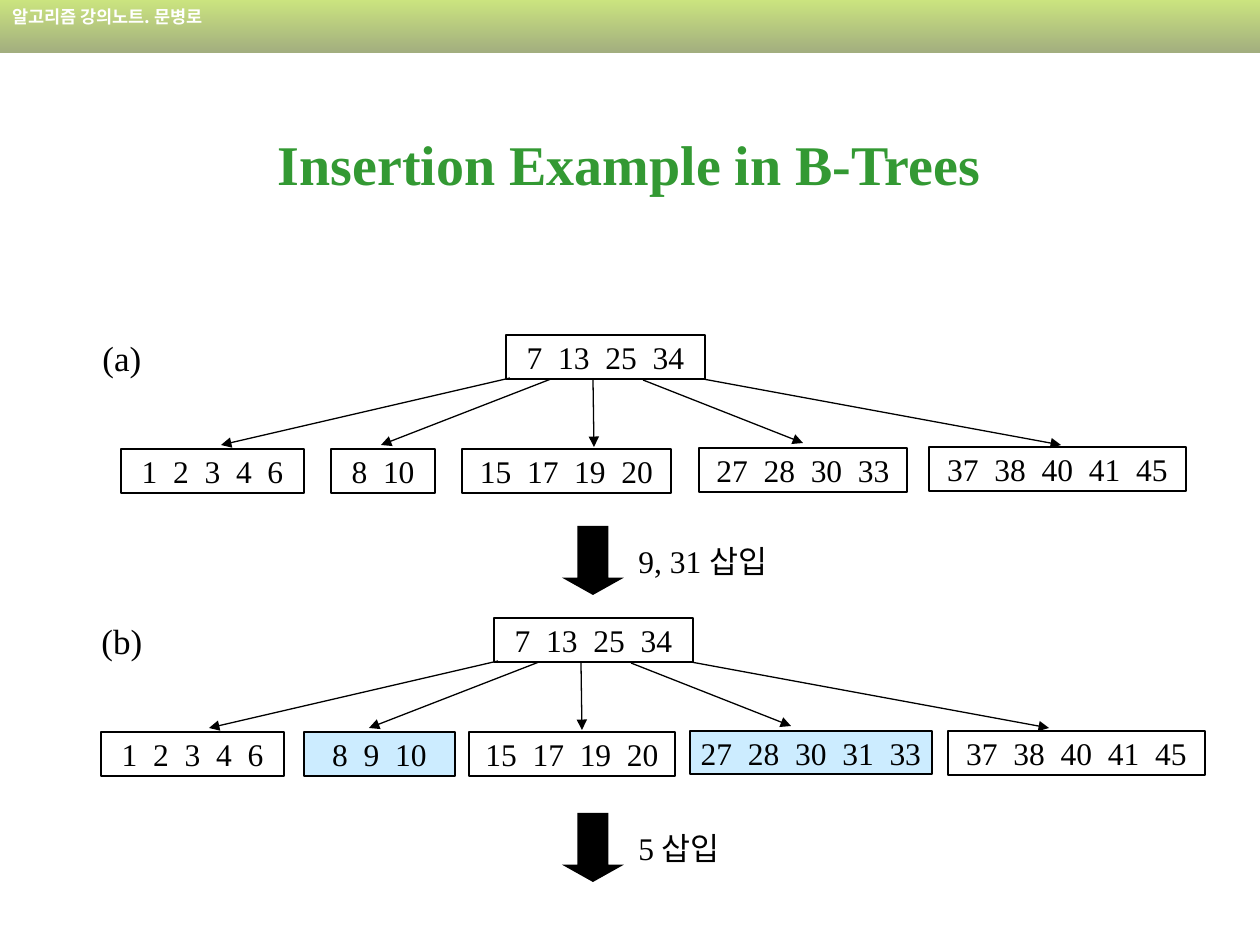
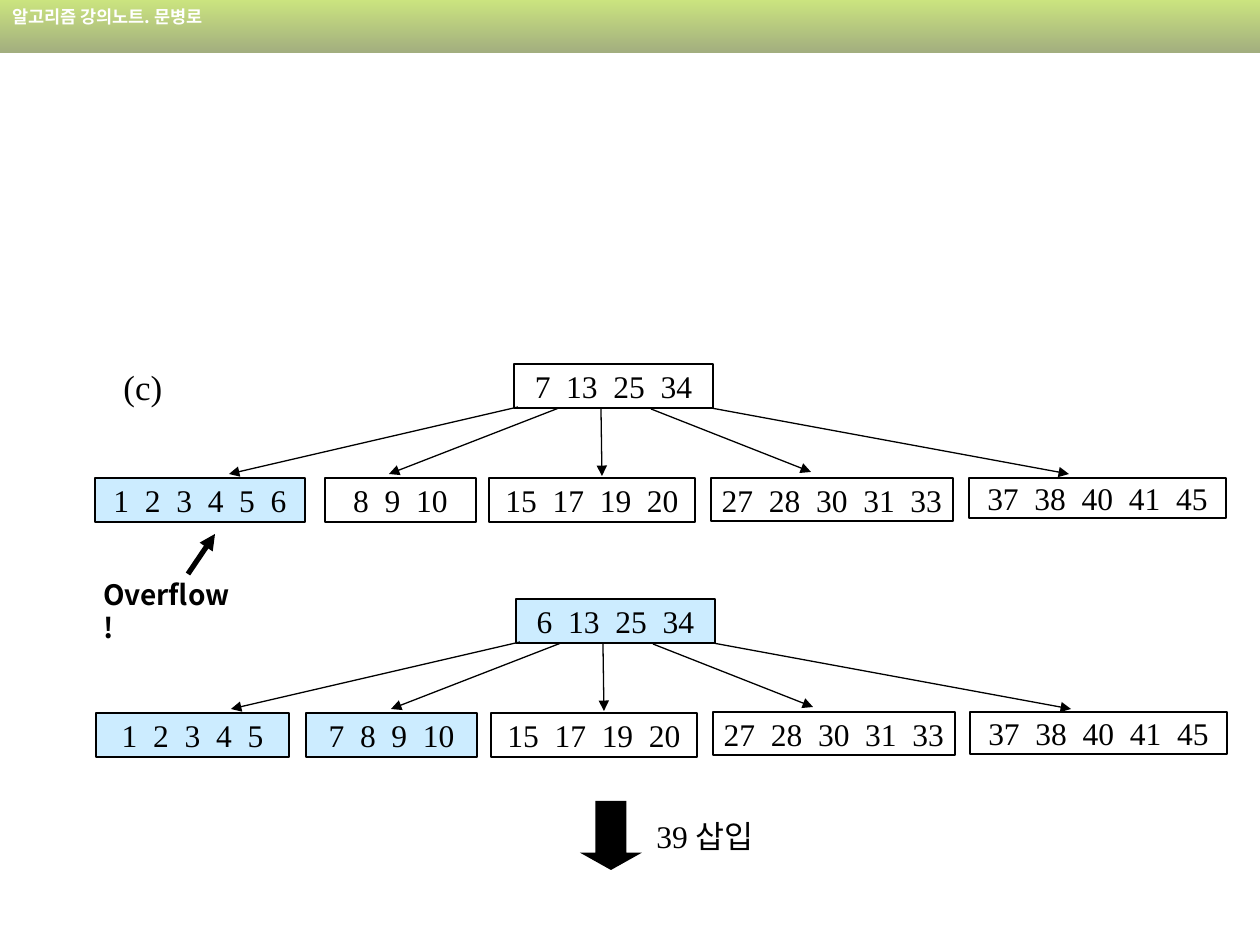
from typing import NamedTuple

from lxml.etree import SubElement
from pptx import Presentation
from pptx.dml.color import RGBColor
from pptx.enum.shapes import MSO_CONNECTOR, MSO_SHAPE
from pptx.enum.text import MSO_ANCHOR, MSO_AUTO_SIZE, PP_ALIGN
from pptx.oxml.ns import qn
from pptx.util import Emu, Pt

EMU_PER_PX = 914400 / 126
PAGE_WIDTH, PAGE_HEIGHT = 1260, 945
TITLE_ONLY, BLANK = 5, 6

SERIF = "Times New Roman"
KOREAN = "Noto Sans CJK KR"
BLACK, WHITE, GREEN = "000000", "FFFFFF", "339933"
CHANGED_FILL = "CCECFF"
BAND_TOP, BAND_BOTTOM = "99CC00", "475E00"

NODE_HEIGHT = 44
ROOT_WIDTH = 199
# Start and end of each pointer, measured from the root's top left corner
POINTERS = [
    ((4, 43), (-285, 110)),
    ((45, 44), (-125, 110)),
    ((87, 45), (88, 112)),
    ((137, 45), (297, 108)),
    ((197, 44), (555, 110)),
]


class Leaf(NamedTuple):
    """A leaf node; drop is its distance below the root's top."""
    keys: str
    left: int
    width: int
    changed: bool = False
    drop: int = 114
    height: int = NODE_HEIGHT


def px(length):
    return Emu(round(length * EMU_PER_PX))


def color(hex_code):
    return RGBColor.from_string(hex_code)


def format_text(shape, size, font=SERIF, hex_code=BLACK, bold=False, align=PP_ALIGN.LEFT):
    for para in shape.text_frame.paragraphs:
        para.alignment = align
        for span in para.runs:
            span.font.size = Pt(size)
            span.font.name = font
            span.font.bold = bold
            span.font.color.rgb = color(hex_code)
            SubElement(span.font._element, qn("a:ea")).set("typeface", KOREAN)


def add_preset(page, kind, left, top, width, height):
    shape = page.shapes.add_shape(kind, px(left), px(top), px(width), px(height))
    shape.shadow.inherit = False
    return shape


def add_band(page):
    """Draw the header band and move it to the master, so every slide shows it."""
    band = add_preset(page, MSO_SHAPE.RECTANGLE, 0, 0, PAGE_WIDTH, 53)
    band.line.fill.background()
    band.fill.gradient()
    band.fill.gradient_angle = 270
    for stop, position, hex_code in zip(band.fill.gradient_stops, (0, 1), (BAND_TOP, BAND_BOTTOM)):
        stop.position = position
        stop.color.rgb = color(hex_code)
    for tint in band.element.spPr.iter(qn("a:srgbClr")):
        SubElement(tint, qn("a:alpha")).set("val", "50000")
    band.text_frame.text = "알고리즘 강의노트. 문병로"
    band.text_frame.vertical_anchor = MSO_ANCHOR.TOP
    format_text(band, 10, KOREAN, WHITE, bold=True)
    band.element.nvSpPr.cNvPr.id = 99
    page.slide_layout.slide_master.shapes.element.insert(2, band.element)


def set_title(page, text):
    title = page.shapes.title
    title.left, title.top, title.width, title.height = px(94), px(84), px(1071), px(158)
    title.text_frame.text = text
    title.text_frame.auto_size = MSO_AUTO_SIZE.NONE
    title.text_frame.vertical_anchor = MSO_ANCHOR.MIDDLE
    format_text(title, 32, hex_code=GREEN, bold=True, align=PP_ALIGN.CENTER)


def add_label(page, text, left, top, width, height, size, font=SERIF, bold=False):
    box = page.shapes.add_textbox(px(left), px(top), px(width), px(height))
    box.text_frame.word_wrap = True
    box.text_frame.text = text
    format_text(box, size, font, bold=bold)


def add_node(page, keys, left, top, width, height=NODE_HEIGHT, changed=False):
    node = add_preset(page, MSO_SHAPE.RECTANGLE, left, top, width, height)
    if changed:
        node.fill.solid()
        node.fill.fore_color.rgb = color(CHANGED_FILL)
    else:
        node.fill.background()
    node.line.color.rgb = color(BLACK)
    node.line.width = Pt(0.75)
    node.text_frame.word_wrap = False
    node.text_frame.vertical_anchor = MSO_ANCHOR.MIDDLE
    node.text_frame.text = "  ".join(keys.split())
    format_text(node, 18, align=PP_ALIGN.CENTER)


def add_arrow(page, start, end, weight=0.75):
    arrow = page.shapes.add_connector(MSO_CONNECTOR.STRAIGHT, *map(px, start + end))
    arrow.line.color.rgb = color(BLACK)
    arrow.line.width = Pt(weight)
    SubElement(arrow.line._get_or_add_ln(), qn("a:tailEnd")).set("type", "triangle")
    SubElement(arrow.element.spPr, qn("a:effectLst"))


def add_tree(page, root_keys, left, top, leaves, root_changed=False):
    add_node(page, root_keys, left, top, ROOT_WIDTH, changed=root_changed)
    for leaf in leaves:
        add_node(page, leaf.keys, leaf.left, top + leaf.drop, leaf.width, leaf.height, leaf.changed)
    for (start_x, start_y), (end_x, end_y) in POINTERS:
        add_arrow(page, (left + start_x, top + start_y), (left + end_x, top + end_y))


def add_tree_label(page, text, left, root_top):
    add_label(page, text, left, root_top - 5, 80, 55, 20)


def add_step(page, text, left, top):
    """Block arrow with the inserted keys to its right."""
    arrow = add_preset(page, MSO_SHAPE.DOWN_ARROW, left, top, 62, 69)
    arrow.adjustments[0], arrow.adjustments[1] = 0.5, 0.28
    arrow.fill.solid()
    arrow.fill.fore_color.rgb = color(BLACK)
    arrow.line.fill.background()
    add_label(page, text, left + 64, top + 10, 190, 50, 18)


def fill_insertion_page(page):
    set_title(page, "Insertion Example in B-Trees")
    add_tree_label(page, "(a)", 90, 335)
    add_tree(page, "7 13 25 34", 506, 335, [
        Leaf("1 2 3 4 6", 121, 183),
        Leaf("8 10", 331, 104),
        Leaf("15 17 19 20", 462, 209),
        Leaf("27 28 30 33", 699, 208, drop=113),
        Leaf("37 38 40 41 45", 929, 257, drop=112),
    ])
    add_step(page, "9, 31 삽입", 562, 526)
    add_tree_label(page, "(b)", 89, 618)
    add_tree(page, "7 13 25 34", 494, 618, [
        Leaf("1 2 3 4 6", 101, 183),
        Leaf("8 9 10", 304, 151, changed=True),
        Leaf("15 17 19 20", 469, 206),
        Leaf("27 28 30 31 33", 690, 242, changed=True, drop=113, height=43),
        Leaf("37 38 40 41 45", 948, 257, drop=113),
    ])
    add_step(page, "5 삽입", 562, 813)


def fill_overflow_page(page):
    add_tree_label(page, "(c)", 111, 364)
    add_tree(page, "7 13 25 34", 514, 364, [
        Leaf("1 2 3 4 5 6", 95, 210, changed=True),
        Leaf("8 9 10", 325, 151),
        Leaf("15 17 19 20", 489, 206),
        Leaf("27 28 30 31 33", 711, 242, height=43),
        Leaf("37 38 40 41 45", 969, 257, height=40),
    ])
    add_label(page, "Overflow!", 91, 571, 161, 47, 16, KOREAN, bold=True)
    add_arrow(page, (188, 574), (215, 534), weight=3)
    add_tree(page, "6 13 25 34", 516, 599, [
        Leaf("1 2 3 4 5", 96, 193, changed=True),
        Leaf("7 8 9 10", 306, 171, changed=True),
        Leaf("15 17 19 20", 491, 206),
        Leaf("27 28 30 31 33", 713, 242, drop=113, height=43),
        Leaf("37 38 40 41 45", 970, 257, drop=113, height=42),
    ], root_changed=True)
    add_step(page, "39 삽입", 580, 801)


def main():
    deck = Presentation()
    deck.slide_width, deck.slide_height = px(PAGE_WIDTH), px(PAGE_HEIGHT)
    insertion_page = deck.slides.add_slide(deck.slide_layouts[TITLE_ONLY])
    add_band(insertion_page)
    fill_insertion_page(insertion_page)
    fill_overflow_page(deck.slides.add_slide(deck.slide_layouts[BLANK]))
    deck.save("out.pptx")


if __name__ == "__main__":
    main()
